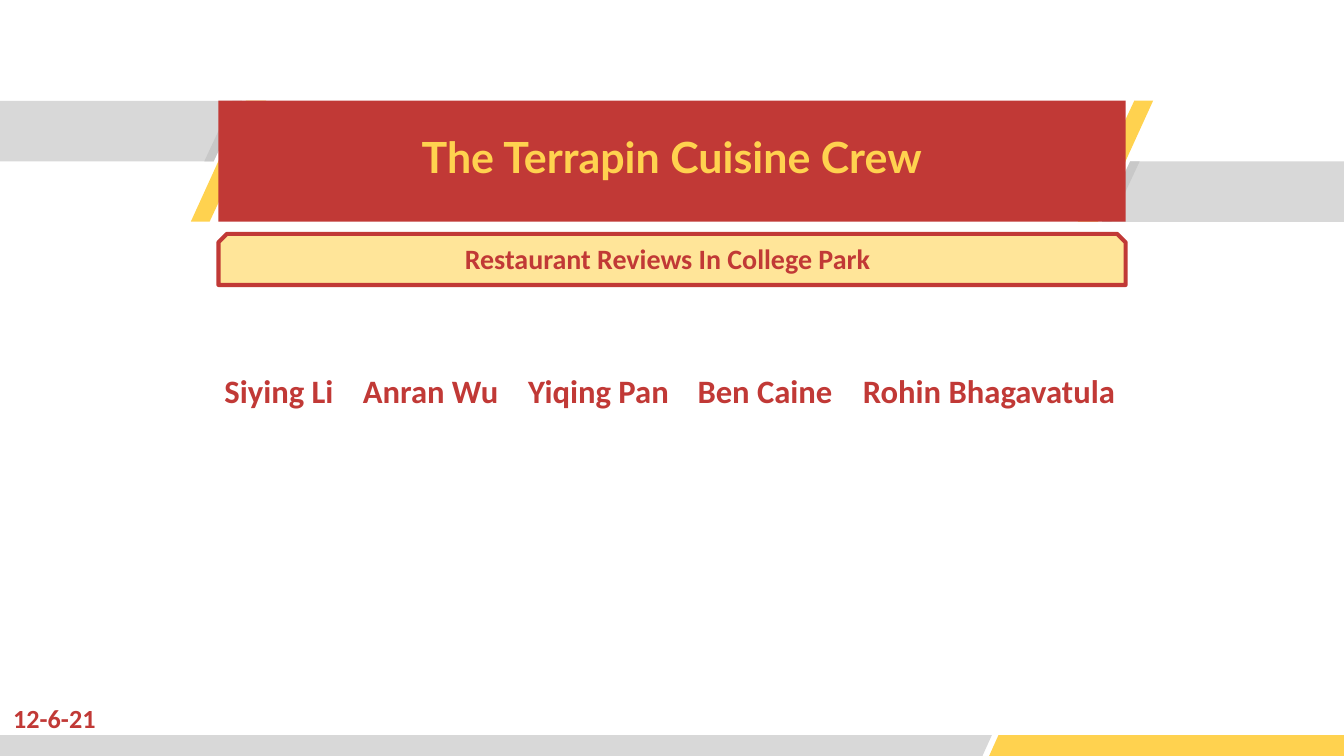
from lxml import etree
from pptx import Presentation
from pptx.dml.color import RGBColor
from pptx.enum.shapes import MSO_SHAPE as Shape
from pptx.enum.text import MSO_ANCHOR as Anchor, PP_ALIGN as Align
from pptx.oxml.ns import qn
from pptx.util import Inches, Pt

RED = RGBColor(0xC1, 0x39, 0x36)
YELLOW = RGBColor(0xFF, 0xD2, 0x4F)
CREAM = RGBColor(0xFF, 0xE5, 0x99)
GREY = RGBColor(0xD8, 0xD8, 0xD8)
DARK_GREY = RGBColor(0xC8, 0xC8, 0xC8)

# Widescreen page with centred banners, in inches
PAGE_WIDTH = 10
PAGE_HEIGHT = PAGE_WIDTH * 9 / 16
BANNER_WIDTH = 6.75
BANNER_LEFT = (PAGE_WIDTH - BANNER_WIDTH) / 2


def paint(shape, fill):
    shape.shadow.inherit = False
    shape.fill.solid()
    shape.fill.fore_color.rgb = fill
    shape.line.fill.background()


def write(shape, text, size, color, font="Calibri", margin=0.0):
    frame = shape.text_frame
    frame.word_wrap = True
    frame.margin_left = frame.margin_right = Inches(margin)
    frame.margin_top = frame.margin_bottom = Inches(margin)
    para = frame.paragraphs[0]
    para.text = text
    para.font.size = Pt(size)
    para.font.name = font
    para.font.bold = True
    para.font.color.rgb = color
    return para


deck = Presentation()
deck.slide_width, deck.slide_height = Inches(PAGE_WIDTH), Inches(PAGE_HEIGHT)
page = deck.slides.add_slide(deck.slide_layouts[6])
shapes = page.shapes

# Slanted bands: colour, top, bottom, top left, top right, bottom right, bottom left
bands = [
    (GREY, 5.47, PAGE_HEIGHT, 0, 7.38, 7.31, 0),
    (YELLOW, 5.47, PAGE_HEIGHT, 7.43, 10, 10, 7.36),
    (GREY, 1.2, 1.65, 8.41, 10, 10, 8.2),
    (GREY, 0.75, 1.2, 0, 1.8, 1.59, 0),
    (YELLOW, 0.75, 1.65, 8.44, 8.58, 8.17, 8.02),
    (YELLOW, 0.75, 1.65, 1.83, 1.98, 1.56, 1.42),
    (DARK_GREY, 1.2, 1.65, 8.41, 8.48, 8.27, 8.2),
    (DARK_GREY, 0.75, 1.2, 1.73, 1.8, 1.59, 1.52),
]
for color, top, bottom, top_left, top_right, bottom_right, bottom_left in bands:
    outline = shapes.build_freeform(Inches(top_left), Inches(top))
    corners = [(top_right, top), (bottom_right, bottom), (bottom_left, bottom)]
    outline.add_line_segments([(Inches(x), Inches(y)) for x, y in corners])
    paint(outline.convert_to_shape(), color)

# Subtitle panel
panel = shapes.add_shape(Shape.SNIP_2_SAME_RECTANGLE, Inches(BANNER_LEFT),
                         Inches(1.74), Inches(BANNER_WIDTH), Inches(0.38))
paint(panel, CREAM)
panel.line.color.rgb = RED
panel.line.width = Pt(2.25)

# Title banner
banner = shapes.add_shape(Shape.RECTANGLE, Inches(BANNER_LEFT),
                          Inches(0.75), Inches(BANNER_WIDTH), Inches(0.9))
paint(banner, RED)
banner.text_frame.vertical_anchor = Anchor.MIDDLE
title = write(banner, "The Terrapin Cuisine Crew", 23, YELLOW, "Lato")
title.alignment = Align.CENTER
title.line_spacing = 0.8

# Team members, spread along tab stops
members = ["Siying Li", "Anran Wu", "Yiqing Pan", "Ben Caine", "Rohin Bhagavatula"]
team_box = shapes.add_textbox(Inches(1.67), Inches(2.2), Inches(6.66), Inches(1.83))
team = write(team_box, "\t".join(members), 17.5, RED)
team_box.text_frame.margin_top = Inches(0.82)
tab_list = etree.Element(qn("a:tabLst"))
for position in (1.03, 2.26, 3.52, 4.75):
    etree.SubElement(tab_list, qn("a:tab"), pos=str(Inches(position)), algn="l")
properties = team._p.get_or_add_pPr()
properties.insert_element_before(tab_list, "a:defRPr", "a:extLst")

# Subtitle and date
subtitle_box = shapes.add_textbox(Inches(3.36), Inches(1.7), Inches(3.29), Inches(0.45))
write(subtitle_box, "Restaurant Reviews In College Park", 15, RED, margin=0.1)
date_box = shapes.add_textbox(Inches(0), Inches(5.13), Inches(1.02), Inches(0.44))
write(date_box, "12-6-21", 14, RED, margin=0.1)

deck.save("out.pptx")
